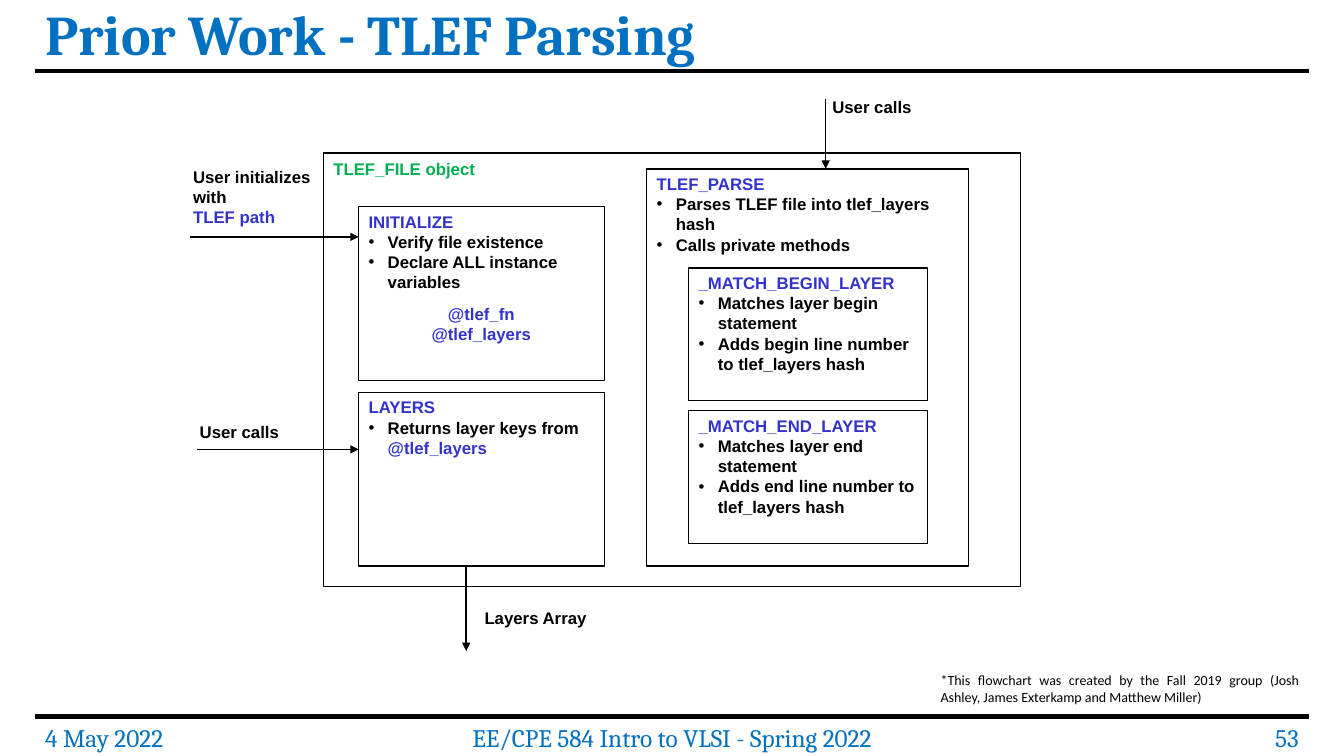
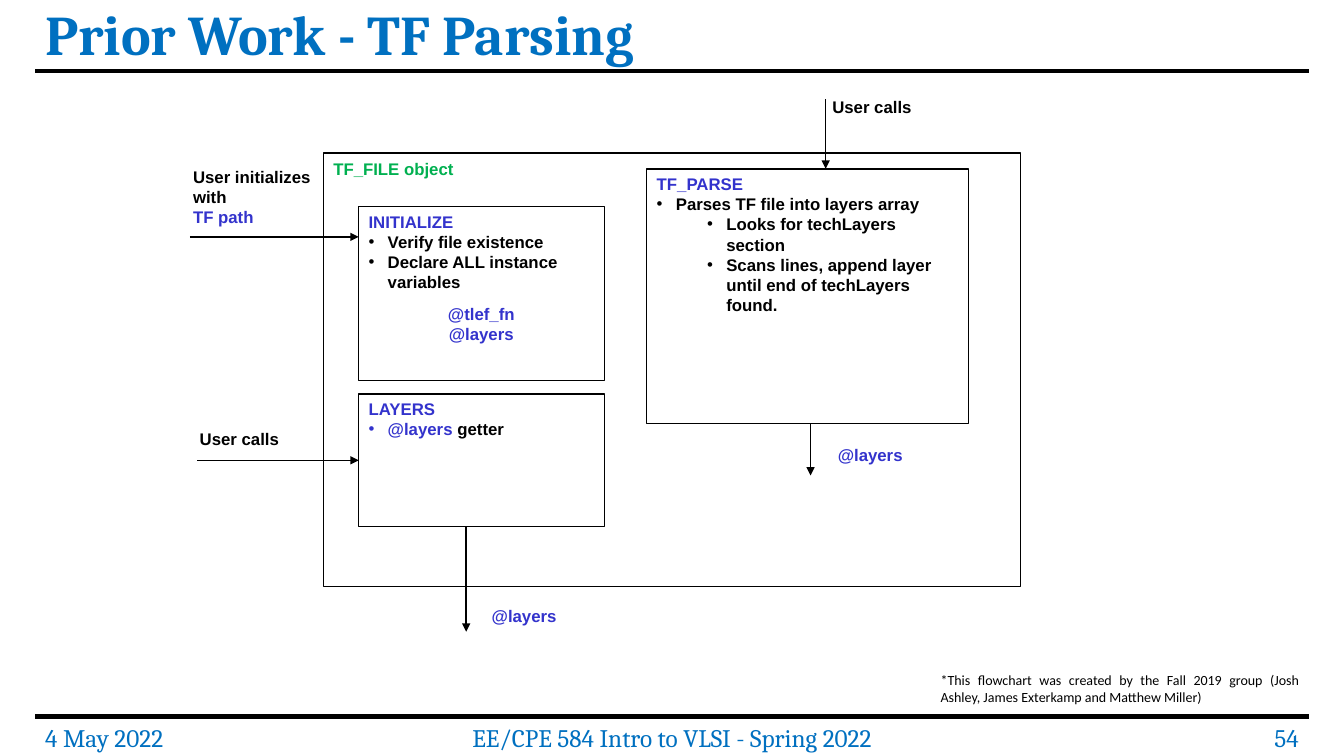
from lxml.etree import SubElement
from pptx import Presentation
from pptx.dml.color import RGBColor
from pptx.enum.shapes import MSO_CONNECTOR, MSO_SHAPE
from pptx.enum.text import MSO_ANCHOR, PP_ALIGN
from pptx.oxml.ns import qn
from pptx.util import Inches, Pt

SLIDE_WIDTH, SLIDE_HEIGHT = Inches(13.33), Inches(7.5)
COLUMN, ROW = SLIDE_WIDTH / 160, SLIDE_HEIGHT / 90
COLORS = {
    "black": "000000",
    "white": "FFFFFF",
    "title": "0070C0",
    "name": "3333CC",
    "object": "00B050",
}
LEFT, RIGHT = 4.2, 155.8
METHOD_LEFT, METHOD_WIDTH = 42.7, 29.3
PARSE_LEFT, PARSE_TOP, PARSE_WIDTH = 77, 20.1, 38.3
LINE_HEIGHT = 3.6
HANGING = Inches(0.19)
SUB_INDENT = Inches(0.69)


def color(name):
    return RGBColor.from_string(COLORS[name])


def place(area):
    left, top, width, height = area
    return [round(size) for size in (left * COLUMN, top * ROW, width * COLUMN, height * ROW)]


def name(text):
    return [(text, "name")]


def plain(text):
    return [(text, "black")]


def add_bullet(para, indent):
    properties = para._p.get_or_add_pPr()
    properties.set("marL", str(indent))
    properties.set("indent", str(-HANGING))
    SubElement(properties, qn("a:buFont"), typeface="Arial")
    SubElement(properties, qn("a:buChar"), char="•")


def format_span(span, size, font, tint, bold):
    span.font.size = Pt(size)
    span.font.name = font
    span.font.bold = bold
    span.font.color.rgb = color(tint)


def write(box, lines, size=12, font="Arial", bold=True, align=PP_ALIGN.LEFT, indents=()):
    frame = box.text_frame
    frame.word_wrap = True
    frame.vertical_anchor = MSO_ANCHOR.TOP
    for index, line in enumerate(lines):
        para = frame.paragraphs[0] if index == 0 else frame.add_paragraph()
        para.alignment = align
        if index < len(indents) and indents[index]:
            add_bullet(para, indents[index])
        for text, tint in line:
            span = para.add_run()
            span.text = text
            format_span(span, size, font, tint, bold)


def add_label(page, area, lines, **style):
    write(page.shapes.add_textbox(*place(area)), lines, **style)


def add_frame(page, area, filled=True):
    box = page.shapes.add_shape(MSO_SHAPE.RECTANGLE, *place(area))
    box.shadow.inherit = False
    box.line.color.rgb = color("black")
    box.line.width = Pt(1)
    if filled:
        box.fill.solid()
        box.fill.fore_color.rgb = color("white")
    else:
        box.fill.background()
    return box


def add_method(page, area, title, bullets, sub_bullets=()):
    lines = [name(title), *bullets, *sub_bullets]
    indents = [0] + [HANGING] * len(bullets) + [SUB_INDENT] * len(sub_bullets)
    write(add_frame(page, area), lines, indents=indents)


def add_line(page, start, end, width=1, arrow=True):
    ends = place((*start, *end))
    line = page.shapes.add_connector(MSO_CONNECTOR.STRAIGHT, *ends)
    line.line.color.rgb = color("black")
    line.line.width = Pt(width)
    if arrow:
        SubElement(line.line._get_or_add_ln(), qn("a:tailEnd"), type="triangle")
    SubElement(line._element.spPr, qn("a:effectLst"))


def add_title(page, text):
    title = page.shapes.title
    title.left, title.top, title.width, title.height = place((LEFT, 0, RIGHT - LEFT, 8.9))
    frame = title.text_frame
    frame.text = text
    frame.vertical_anchor = MSO_ANCHOR.MIDDLE
    para = frame.paragraphs[0]
    para.alignment = PP_ALIGN.LEFT
    para.line_spacing = 0.9
    format_span(para.runs[0], 40, "Cambria", "title", True)


def add_page(deck, title, number):
    page = deck.slides.add_slide(deck.slide_layouts[5])
    add_title(page, title)
    for row in (8.5, 85.3):
        add_line(page, (LEFT, row), (RIGHT, row), width=3, arrow=False)
    footers = [
        (LEFT, 21.5, "4 May 2022", PP_ALIGN.LEFT),
        (48.7, 62.6, "EE/CPE 584 Intro to VLSI - Spring 2022", PP_ALIGN.CENTER),
        (RIGHT - 17.2, 17.2, str(number), PP_ALIGN.RIGHT),
    ]
    for left, width, text, align in footers:
        add_label(page, (left, 85.4, width, 4.8), [[(text, "title")]],
                  size=18, font="Cambria", bold=False, align=align)
    credit = ("*This flowchart was created by the Fall 2019 group "
              "(Josh Ashley, James Exterkamp and Matthew Miller)")
    add_label(page, (110.8, 79.4, 45, 5.3), [plain(credit)],
              size=10, font="Calibri", bold=False, align=PP_ALIGN.JUSTIFY)
    return page


def add_file_object(page, kind, variable):
    add_frame(page, (38.5, 18.2, 83, 51.6), filled=False)
    add_label(page, (38.5, 18.3, 36, LINE_HEIGHT), [[(f"{kind}_FILE object", "object")]])
    add_label(page, (21.8, 19.2, 17.5, 9), [plain("User initializes with"), name(f"{kind} path")])
    add_line(page, (22.6, 28.2), (METHOD_LEFT, 28.2))
    add_method(page, (METHOD_LEFT, 24.6, METHOD_WIDTH, 20.7), "INITIALIZE",
               [plain("Verify file existence"), plain("Declare ALL instance variables")])
    add_label(page, (47.7, 35.6, 19.2, 6), [name("@tlef_fn"), name(variable)],
              align=PP_ALIGN.CENTER)
    add_label(page, (97.9, 10.9, 17.5, LINE_HEIGHT), [plain("User calls")])
    add_line(page, (98.3, 11.8), (98.3, PARSE_TOP))


def add_layers_method(page, top, height, bullet, label_row, call_row, output_row):
    add_method(page, (METHOD_LEFT, top, METHOD_WIDTH, height), "LAYERS", [bullet])
    add_label(page, (22.6, label_row, 17.5, LINE_HEIGHT), [plain("User calls")])
    add_line(page, (23.5, call_row), (METHOD_LEFT, call_row))
    add_line(page, (55.5, top + height), (55.5, output_row))


def add_tlef_page(deck):
    page = add_page(deck, "Prior Work - TLEF Parsing", 53)
    add_file_object(page, "TLEF", "@tlef_layers")
    add_method(page, (PARSE_LEFT, PARSE_TOP, PARSE_WIDTH, 47.3), "TLEF_PARSE",
               [plain("Parses TLEF file into tlef_layers hash"), plain("Calls private methods")])
    matches = [
        ("BEGIN", "Matches layer begin statement", "Adds begin line number to tlef_layers hash"),
        ("END", "Matches layer end statement", "Adds end line number to tlef_layers hash"),
    ]
    for index, (edge, *bullets) in enumerate(matches):
        add_method(page, (82, 31.9 + 17 * index, 28.4, 15.8), f"_MATCH_{edge}_LAYER",
                   [plain(bullet) for bullet in bullets])
    add_layers_method(page, 46.7, 20.7, plain("Returns layer keys from ") + name("@tlef_layers"),
                      49.6, 53.5, 77.5)
    add_label(page, (56.5, 71.8, 24.4, LINE_HEIGHT), [plain("Layers Array")])


def add_tf_page(deck):
    page = add_page(deck, "Prior Work - TF Parsing", 54)
    add_file_object(page, "TF", "@layers")
    add_method(page, (PARSE_LEFT, PARSE_TOP, PARSE_WIDTH, 30.3), "TF_PARSE",
               [plain("Parses TF file into layers array")],
               [plain("Looks for techLayers section"),
                plain("Scans lines, append layer until end of techLayers found.")])
    add_line(page, (96.5, PARSE_TOP + 30.3), (96.5, 56.6))
    add_layers_method(page, 46.9, 15.8, name("@layers") + plain(" getter"), 50.4, 54.8, 75.2)
    for left, top in ((94, 52.3), (52.8, 71.5)):
        add_label(page, (left, top, 19.2, LINE_HEIGHT), [name("@layers")], align=PP_ALIGN.CENTER)


def main():
    deck = Presentation()
    deck.slide_width, deck.slide_height = SLIDE_WIDTH, SLIDE_HEIGHT
    add_tlef_page(deck)
    add_tf_page(deck)
    deck.save("out.pptx")


if __name__ == "__main__":
    main()
